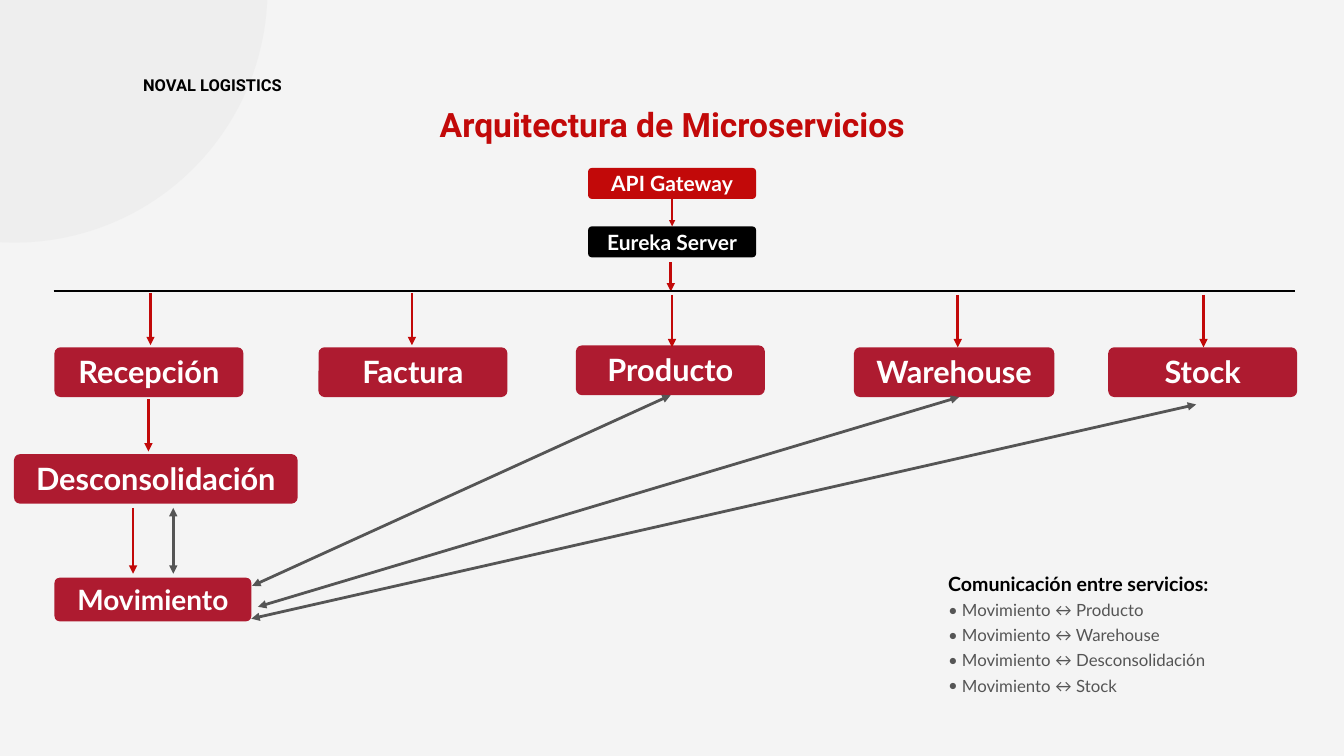
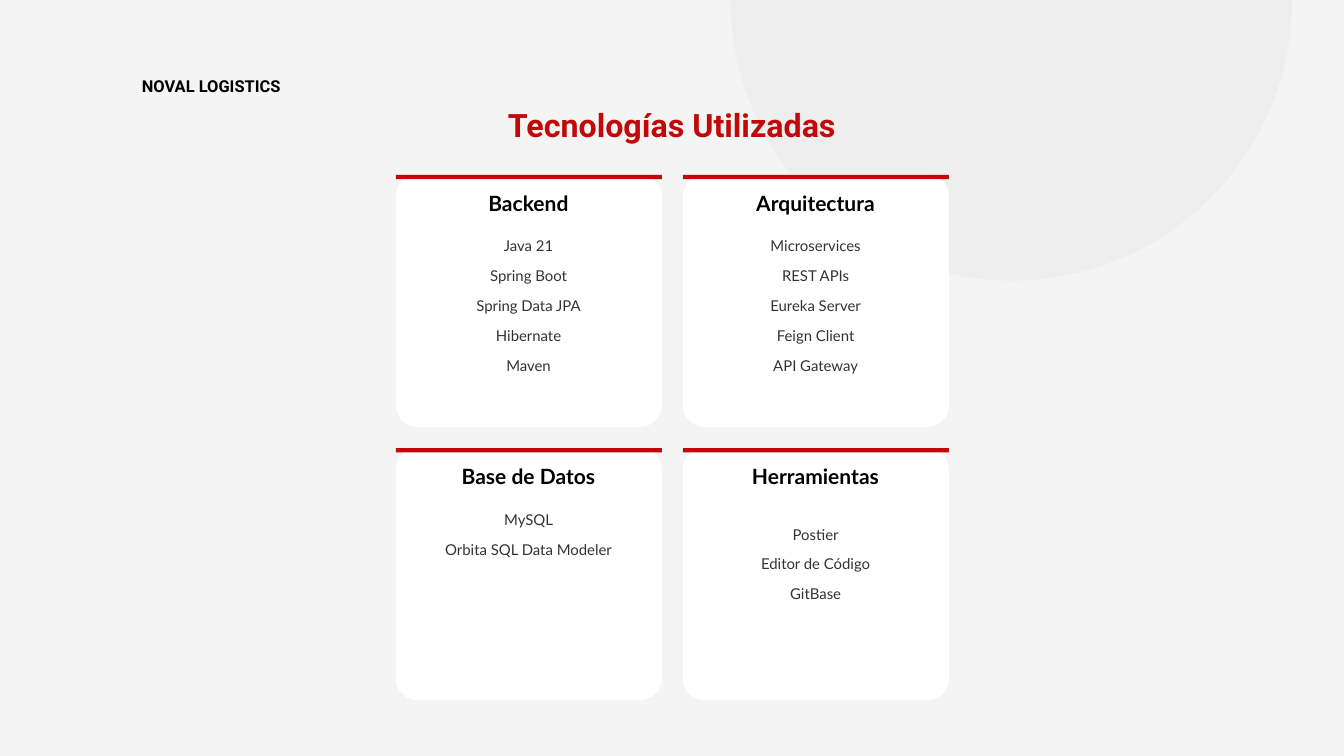
import collections
import pptx
import pptx.dml.color
import pptx.enum.shapes
import pptx.enum.text
import pptx.oxml.ns
import pptx.util
from lxml import etree

Cm = pptx.util.Cm
Pt = pptx.util.Pt
SHAPE = pptx.enum.shapes.MSO_SHAPE
ALIGN = pptx.enum.text.PP_ALIGN
ANCHOR = pptx.enum.text.MSO_ANCHOR
qn = pptx.oxml.ns.qn

PAPER, MIST, WHITE, BLACK = "F4F4F4", "E4E4E4", "FFFFFF", "000000"
RED, CRIMSON, GREY, INK = "C20909", "AE1B30", "555555", "333333"
COMPANY = "NOVAL LOGISTICS"

Style = collections.namedtuple("Style", "font size color bold spacing align")
BRAND = Style("Roboto", 17.6, BLACK, True, 24.6, ALIGN.LEFT)
TITLE = Style("Roboto", 36, RED, True, 36, ALIGN.CENTER)
NODE = Style("Lato", 32.9, WHITE, True, 32.9, ALIGN.CENTER)
SMALL_NODE = NODE._replace(size=22.5, spacing=22.5)
MOVEMENT_NODE = NODE._replace(size=30, spacing=30)
LEGEND_HEAD = Style("Lato", 21, BLACK, True, 29.4, ALIGN.LEFT)
LEGEND_ITEM = Style("Lato", 18, GREY, False, 27, ALIGN.LEFT)
CARD_HEAD = SMALL_NODE._replace(color=BLACK)
CARD_ITEM = Style("Lato", 16, INK, False, 32, ALIGN.CENTER)


class Box(collections.namedtuple("Box", "left top width height")):
    def inner(self, left, top, width, height):
        return Box(self.left + left, self.top + top, width, height)

    def point(self, x, y):
        return self.left + x, self.top + y

    def lengths(self):
        return [Cm(value) for value in self]


def rgb(color):
    return pptx.dml.color.RGBColor.from_string(color)


def apply(target, values):
    for name, value in values.items():
        setattr(target, name, value)


def add_bullet(para):
    props = para._p.get_or_add_pPr()
    props.set("marL", str(Cm(0.52)))
    props.set("indent", str(-Cm(0.52)))
    etree.SubElement(props, qn("a:buFont")).set("typeface", "Lato")
    etree.SubElement(props, qn("a:buChar")).set("char", "•")


def write(frame, lines, style, bullets=False, anchor=ANCHOR.TOP, top_margin=0):
    apply(frame, {
        "word_wrap": True, "vertical_anchor": anchor, "margin_left": 0,
        "margin_right": 0, "margin_top": Cm(top_margin), "margin_bottom": 0,
    })
    for index, line in enumerate(lines):
        para = frame.add_paragraph() if index else frame.paragraphs[0]
        apply(para, {"alignment": style.align, "line_spacing": Pt(style.spacing)})
        if bullets:
            add_bullet(para)
        span = para.add_run()
        span.text = line
        apply(span.font, {"name": style.font, "size": Pt(style.size), "bold": style.bold})
        span.font.color.rgb = rgb(style.color)


def add_text(page, box, lines, style, bullets=False):
    write(page.shapes.add_textbox(*box.lengths()).text_frame, lines, style, bullets)


def add_panel(page, box, color, kind=SHAPE.RECTANGLE, corner=None):
    panel = page.shapes.add_shape(kind, *box.lengths())
    panel.shadow.inherit = False
    panel.fill.solid()
    panel.fill.fore_color.rgb = rgb(color)
    panel.line.fill.background()
    if corner is not None:
        panel.adjustments[0] = corner
    return panel


def add_node(page, box, label, color=CRIMSON, style=NODE):
    node = add_panel(page, box, color, SHAPE.ROUNDED_RECTANGLE, 0.12)
    write(node.text_frame, [label], style, anchor=ANCHOR.MIDDLE, top_margin=0.16)


def add_line(page, start, end, color=RED, width=3, ends=("tailEnd",)):
    line = page.shapes.add_connector(
        pptx.enum.shapes.MSO_CONNECTOR.STRAIGHT, *[Cm(value) for value in start + end])
    line.line.color.rgb = rgb(color)
    line.line.width = Pt(width)
    for end_name in ends:
        etree.SubElement(line.line._get_or_add_ln(), qn("a:" + end_name)).set("type", "triangle")
    etree.SubElement(line._element.spPr, qn("a:effectLst"))


def add_link(page, start, end):
    add_line(page, start, end, GREY, ends=("headEnd", "tailEnd"))


def start_page(deck, circle, brand, title, title_box, title_size):
    page = deck.slides.add_slide(deck.slide_layouts[6])
    page.background.fill.solid()
    page.background.fill.fore_color.rgb = rgb(PAPER)
    disc = add_panel(page, circle, MIST, SHAPE.OVAL)
    tint = disc._element.spPr.find(qn("a:solidFill"))[0]
    etree.SubElement(tint, qn("a:alpha")).set("val", "36000")
    add_text(page, brand, [COMPANY], BRAND)
    add_text(page, title_box, [title], TITLE._replace(size=title_size, spacing=title_size))
    return page


def gateway_region(page, box):
    middle = box.width / 2
    add_node(page, box.inner(0, 0, box.width, 1.17), "API Gateway", RED, SMALL_NODE)
    add_node(page, box.inner(0, 2.21, box.width, 1.17), "Eureka Server", BLACK, SMALL_NODE)
    add_line(page, box.point(middle, 1.17), box.point(middle, 2.21), width=2.25)
    add_line(page, box.point(middle - 0.05, 3.56), box.point(middle - 0.05, box.height))


def services_region(page, box):
    services = [
        ("Recepción", 0.03, 2.13, 7.14, 3.66, 0.07),
        ("Factura", 10.01, 2.13, 7.14, 13.54, 0.07),
        ("Producto", 19.74, 2.06, 7.14, 23.37, 0.15),
        ("Warehouse", 30.25, 2.13, 7.57, 34.17, 0.15),
        ("Stock", 39.86, 2.13, 7.14, 43.46, 0.15),
    ]
    add_line(page, box.point(0, 0), box.point(box.width, 0), BLACK, 1.5, ())
    for label, left, top, width, arrow_x, arrow_top in services:
        add_node(page, box.inner(left, top, width, 1.88), label)
        add_line(page, box.point(arrow_x, arrow_top), box.point(arrow_x, arrow_top + 1.98))


def movement_region(page, box):
    add_line(page, box.point(5.08, 0.08), box.point(5.08, 2.06))
    add_node(page, box.inner(0, 2.16, 10.72, 1.87), "Desconsolidación")
    add_node(page, box.inner(1.53, 6.83, 7.44, 1.65), "Movimiento", style=MOVEMENT_NODE)
    add_line(page, box.point(4.5, 4.19), box.point(4.5, 6.68))
    links = [
        ((6.02, 4.19), (6.02, 6.68)),
        ((35.72, 0), (9.22, 7.93)),
        ((24.82, -0.07), (9, 7.14)),
        ((44.68, 0.28), (8.97, 8.38)),
    ]
    for service, movement in links:
        add_link(page, box.point(*service), box.point(*movement))


def legend_region(page, box):
    partners = ["Producto", "Warehouse", "Desconsolidación", "Stock"]
    add_text(page, box.inner(0, 0, box.width, 1.02), ["Comunicación entre servicios:"], LEGEND_HEAD)
    add_text(page, box.inner(0, 1.02, box.width, 3.78),
             [f"Movimiento ↔ {partner}" for partner in partners], LEGEND_ITEM, True)


def technology_card(page, box, heading, items, items_top):
    add_panel(page, box, WHITE, SHAPE.ROUNDED_RECTANGLE, 0.085)
    add_panel(page, box.inner(0, 0, box.width, 0.16), RED)
    add_text(page, box.inner(0.51, 0.74, box.width - 1.05, 0.79), [heading], CARD_HEAD)
    add_text(page, box.inner(0.79, items_top, box.width - 1.6, 1.13 * len(items)), items, CARD_ITEM)


def architecture_slide(deck):
    page = start_page(deck, Box(-9.02, -9.96, 19.13, 19.13), Box(5.41, 2.72, 7.06, 0.81),
                      "Arquitectura de Microservicios", Box(15.65, 4.17, 19.53, 1.35), 36)
    gateway_region(page, Box(22.23, 6.35, 6.35, 4.67))
    services_region(page, Box(2.03, 11, 46.92, 4.01))
    movement_region(page, Box(0.53, 15.01, 44.68, 8.48))
    legend_region(page, Box(35.84, 21.46, 13.11, 4.8))


def technologies_slide(deck):
    page = start_page(deck, Box(27.61, -10.62, 21.23, 21.23), Box(5.36, 2.77, 7.06, 0.81),
                      "Tecnologías Utilizadas", Box(16.13, 4.22, 18.52, 1.27), 34.5)
    cards = [
        ("Backend", ["Java 21", "Spring Boot", "Spring Data JPA", "Hibernate", "Maven"], 1.9),
        ("Arquitectura",
         ["Microservices", "REST APIs", "Eureka Server", "Feign Client", "API Gateway"], 1.9),
        ("Base de Datos", ["MySQL", "Orbita SQL Data Modeler"], 1.9),
        ("Herramientas", ["Postier", "Editor de Código", "GitBase"], 2.46),
    ]
    grid = Box(14.96, 6.61, 20.91, 19.86)
    for index, card in enumerate(cards):
        row, column = divmod(index, 2)
        technology_card(page, grid.inner(10.85 * column, 10.33 * row, 10.06, 9.53), *card)


def main():
    deck = pptx.Presentation()
    apply(deck, {"slide_width": Cm(50.8), "slide_height": Cm(28.58)})
    architecture_slide(deck)
    technologies_slide(deck)
    deck.save("out.pptx")


if __name__ == "__main__":
    main()
